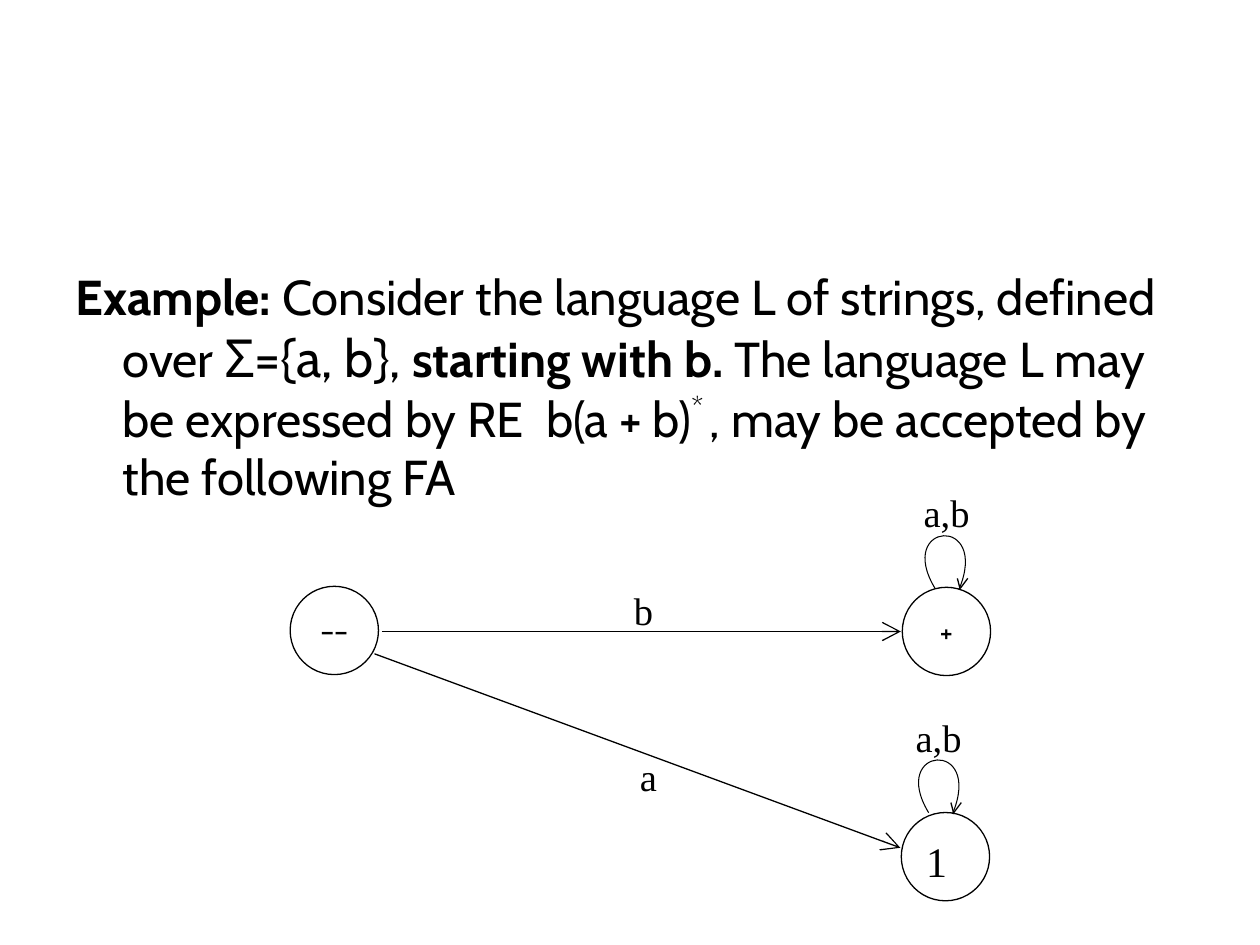
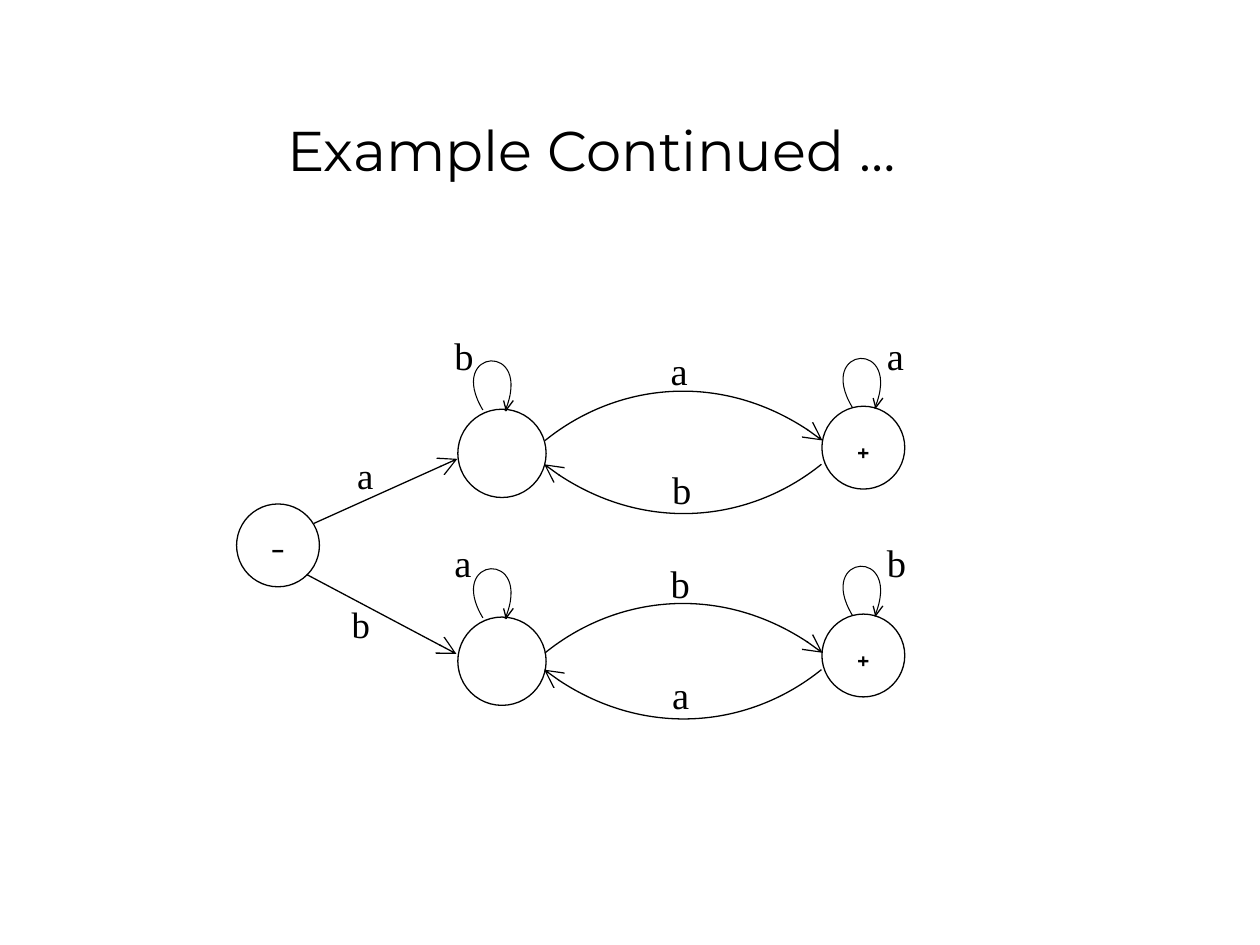
from lxml.etree import SubElement
from pptx import Presentation
from pptx.dml.color import RGBColor
from pptx.enum.shapes import MSO_CONNECTOR, MSO_SHAPE
from pptx.enum.text import MSO_ANCHOR, MSO_AUTO_SIZE, PP_ALIGN
from pptx.oxml.ns import qn
from pptx.util import Cm, Pt

INK = "000000"
PAPER = "FFFFFF"
TITLE_FONT = "Montserrat"
BODY_FONT = "Cabin"
LABEL_FONT = "Times New Roman"
LARGE, SMALL = 1.78, 1.67  # state diameters
SYMBOL_DROP = {LARGE: 0, SMALL: 0.12}

# Offsets in cm from the start of each curve: start, two controls, end
LOOP = [(0, 0), (-0.93, -1.27), (0.98, -1.59), (0.48, -0.02)]
LOOP_TILT = 5
LOOP_BARBS = [[(0.44, -0.01), (0.59, -0.21)], [(0.38, -0.21), (0.44, 0.02)]]
ARC = [(0, 0), (1.45, -1.17), (3.76, -1.42), (5.59, 0)]


def color(hex_code):
    return RGBColor.from_string(hex_code)


def add_run(paragraph, text, size, font, bold=False):
    run = paragraph.add_run()
    run.text = text
    run.font.size = Pt(size)
    run.font.name = font
    run.font.bold = bold
    run.font.color.rgb = color(INK)
    return run


def place(shape, x, y, width, height):
    shape.left, shape.top = Cm(x), Cm(y)
    shape.width, shape.height = Cm(width), Cm(height)


def ink_line(shape, width=0.75, arrow=False):
    shape.line.color.rgb = color(INK)
    shape.line.width = Pt(width)
    if arrow:
        SubElement(shape.line._get_or_add_ln(), qn("a:tailEnd"),
                   type="arrow", w="lg", len="lg")


def add_title(slide, text):
    title = slide.shapes.title
    place(title, 1.13, 0.64, 21.59, 3.18)
    frame = title.text_frame
    frame.auto_size = MSO_AUTO_SIZE.NONE
    frame.vertical_anchor = MSO_ANCHOR.BOTTOM
    paragraph = frame.paragraphs[0]
    paragraph.alignment = PP_ALIGN.CENTER
    add_run(paragraph, text, 32, TITLE_FONT)


def add_statement(slide, parts):
    """Fill the body with one hanging paragraph of (text, size, bold, attributes) parts."""
    body = slide.placeholders[1]
    place(body, 1.27, 5.24, 22.71, 13.18)
    body.text_frame.auto_size = MSO_AUTO_SIZE.NONE
    paragraph = body.text_frame.paragraphs[0]
    properties = paragraph._p.get_or_add_pPr()
    properties.set("marL", str(Cm(0.95)))
    properties.set("indent", str(-Cm(0.95)))
    SubElement(properties, qn("a:buNone"))
    paragraph.space_before = Pt(0)
    for text, size, bold, attributes in parts:
        run = add_run(paragraph, text, size, BODY_FONT, bold)
        for name, value in attributes.items():
            run._r.get_or_add_rPr().set(name, value)


def add_state(slide, x, y, diameter, symbol=""):
    state = slide.shapes.add_shape(MSO_SHAPE.OVAL, Cm(x), Cm(y), Cm(diameter), Cm(diameter))
    state.shadow.inherit = False
    state.fill.solid()
    state.fill.fore_color.rgb = color(PAPER)
    ink_line(state)
    if symbol:
        frame = state.text_frame
        frame.word_wrap = False
        frame.vertical_anchor = MSO_ANCHOR.MIDDLE
        frame.margin_left = frame.margin_right = frame.margin_bottom = 0
        frame.margin_top = Cm(SYMBOL_DROP[diameter])
        frame.paragraphs[0].alignment = PP_ALIGN.CENTER
        add_run(frame.paragraphs[0], symbol, 16, BODY_FONT)


def add_label(slide, text, x, y, width=2.49, height=1.7, size=22):
    label = slide.shapes.add_textbox(Cm(x), Cm(y), Cm(width), Cm(height))
    label.text_frame.word_wrap = True
    add_run(label.text_frame.paragraphs[0], text, size, LABEL_FONT)


def add_edge(slide, x1, y1, x2, y2):
    edge = slide.shapes.add_connector(MSO_CONNECTOR.STRAIGHT, Cm(x1), Cm(y1), Cm(x2), Cm(y2))
    ink_line(edge, arrow=True)
    SubElement(edge._element.spPr, qn("a:effectLst"))


def add_stroke(slide, x, y, offsets, scale=1, width=0.75, arrow=False):
    """Draw an open outline through offsets from (x, y)."""
    points = [(Cm(x + dx * scale), Cm(y + dy * scale)) for dx, dy in offsets]
    builder = slide.shapes.build_freeform(*points[0])
    builder.add_line_segments(points[1:], close=False)
    stroke = builder.convert_to_shape()
    stroke.shadow.inherit = False
    stroke.fill.background()
    ink_line(stroke, width, arrow)
    return stroke


def bend(stroke):
    """Turn the three segments of a stroke into one cubic curve."""
    outline = next(stroke._element.iter(qn("a:path")))
    segments = outline.findall(qn("a:lnTo"))
    curve = SubElement(outline, qn("a:cubicBezTo"))
    for segment in segments:
        curve.append(segment[0])
        outline.remove(segment)


def add_loop(slide, x, y, scale=1):
    loop = add_stroke(slide, x, y, LOOP, scale, width=0.6)
    bend(loop)
    loop.rotation = LOOP_TILT
    for barb in LOOP_BARBS:
        add_stroke(slide, x, y, barb, scale)


def add_arc(slide, x, y, direction):
    """Curve over to the right (direction 1) or under to the left (-1)."""
    bend(add_stroke(slide, x, y, ARC, direction, arrow=True))


def build_starting_with_b(prs):
    slide = prs.slides.add_slide(prs.slide_layouts[1])
    empty_title = slide.shapes.title._element
    empty_title.getparent().remove(empty_title)
    add_statement(slide, [
        ("Example: ", 28, True, {}),
        ("Consider the language L of strings, defined over ", 28, False, {}),
        ("Σ={a, b},", 30, False, {}),
        (" ", 28, False, {}),
        ("starting with b. ", 28, True, {}),
        ("The language L may be expressed by RE", 28, False, {}),
        (" ", 28, False, {"spc": "630"}),
        ("b(a + b)", 28, False, {}),
        ("* ", 28, False, {"baseline": "40000"}),
        (", may be accepted by the following FA", 28, False, {}),
    ])
    add_state(slide, 5.85, 11.82, LARGE, "––")
    add_state(slide, 18.19, 11.84, LARGE, "+")
    add_state(slide, 18.17, 16.38, LARGE)
    add_loop(slide, 18.92, 11.87)
    add_loop(slide, 18.79, 16.39)
    add_edge(slide, 7.7, 12.73, 18.16, 12.73)
    add_edge(slide, 7.55, 13.18, 18.15, 17.09)
    for text, x, y in [("a,b", 18.37, 9.74), ("a,b", 18.21, 14.26),
                       ("b", 12.53, 11.71), ("a", 12.65, 15.05)]:
        add_label(slide, text, x, y, 3.48, 1.3)
    add_label(slide, "1", 18.42, 16.71, 3.48, 1.3, size=24)


def add_branch(slide, top, over, under, first, other):
    """Add a branch entered by first; over and under are its arcs' heights."""
    add_state(slide, 9.23, top, LARGE)
    add_state(slide, 16.57, top - 0.06, SMALL, "+")
    add_loop(slide, 9.8, top + 0.02, 0.93)
    add_loop(slide, 17.25, top - 0.03, 0.93)
    add_arc(slide, 10.99, over, 1)
    add_arc(slide, 16.56, under, -1)
    add_label(slide, first, 8.91, top - 1.69)
    add_label(slide, other, 17.63, top - 1.69)
    add_label(slide, other, 13.27, over - 2, 1.04, 1.02)
    add_label(slide, first, 13.3, under - 0.1, 1.24, 1.27)


def build_continued(prs):
    slide = prs.slides.add_slide(prs.slide_layouts[5])
    add_title(slide, "Example Continued …")
    add_state(slide, 4.77, 10.16, SMALL, "–")
    add_edge(slide, 6.33, 10.55, 9.22, 9.25)
    add_edge(slide, 6.18, 11.58, 9.2, 13.18)
    add_label(slide, "a", 6.95, 9, 1.78, 1.8, size=21)
    add_label(slide, "b", 6.84, 12, 1.78, 1.35, size=21)
    add_branch(slide, 8.25, 8.88, 9.36, "b", "a")
    add_branch(slide, 12.44, 13.16, 13.5, "a", "b")


def main():
    prs = Presentation()
    prs.slide_width, prs.slide_height = Cm(25.4), Cm(19.05)
    build_starting_with_b(prs)
    build_continued(prs)
    prs.save("out.pptx")


if __name__ == "__main__":
    main()
